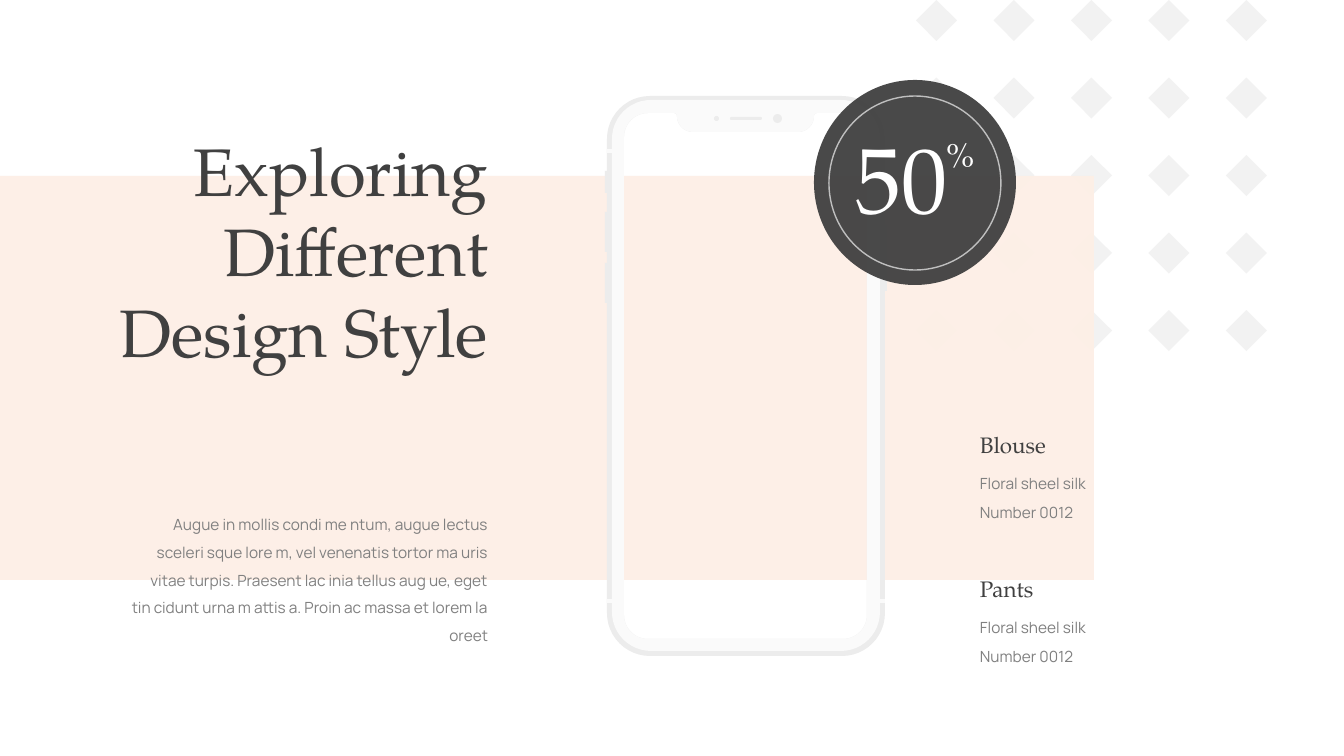
from dataclasses import dataclass
from math import cos, radians, sin

from lxml import etree
from pptx import Presentation
from pptx import util as u
from pptx.dml.color import RGBColor
from pptx.enum import shapes, text
from pptx.oxml import ns


@dataclass(frozen=True)
class Theme:
    serif: str = "TeX Gyre Pagella"
    sans: str = "Manrope"
    dark: str = "404040"
    grey: str = "808080"
    white: str = "FFFFFF"
    ring: str = "BFBFBF"
    blush: str = "FDEFE6"
    diamond: str = "F2F2F2"
    frame: str = "ECECEC"
    bezel: str = "FAFAFA"
    title_size: int = 48
    body_size: int = 11
    item_size: int = 16
    number_size: int = 66
    percent_size: int = 24
    opacity: int = 95


THEME = Theme()
SLIDE_SIZE = (1344, 756)
EMU_PER_PX = 914400 / 100.8

TITLE = "Exploring Different Design Style"
BODY = (
    "Augue in mollis condi me ntum, augue lectus sceleri sque lore m, "
    "vel venenatis tortor ma uris vitae turpis. Praesent lac inia tellus aug ue, "
    "eget tin cidunt urna m attis a. Proin ac massa et lorem la oreet"
)
ITEMS = [
    ("Blouse", "Floral sheel silk", "Number 0012"),
    ("Pants", "Floral sheel silk", "Number 0012"),
]
ITEM_LEFT, ITEM_TOP, ITEM_PITCH = 970, 413, 144
ITEM_ROWS = [
    (0, 50, THEME.serif, THEME.item_size, THEME.dark),
    (47, 38, THEME.sans, THEME.body_size, THEME.grey),
    (76, 38, THEME.sans, THEME.body_size, THEME.grey),
]

DIAMOND_LEFT, DIAMOND_SIZE, DIAMOND_SPAN, DIAMOND_COUNT = 916, 41, 310, 5

BODY_CORNERS = [
    (650, 139, 43, 180, 270),
    (842, 139, 43, 270, 360),
    (842, 613, 43, 0, 90),
    (650, 613, 43, 90, 180),
]
BEZEL_CORNERS = [
    (651, 139, 39, 180, 270),
    (841, 139, 39, 270, 360),
    (841, 612, 39, 0, 90),
    (651, 612, 39, 90, 180),
]
SCREEN_CORNERS = [
    (648, 137, 24, 180, 270),
    (674, 116, 3, 270, 360),
    (693, 116, 16, 180, 90),
    (798, 116, 16, 90, 0),
    (817, 116, 3, 180, 270),
    (843, 137, 24, 270, 360),
    (843, 615, 24, 0, 90),
    (648, 615, 24, 90, 180),
]
BUTTONS = [
    (605, 171, 2, 22),
    (605, 212, 2, 40),
    (605, 263, 2, 40),
    (885, 225, 2, 66),
]
BANDS = [(left, top, 5, 4) for top in (149, 599) for left in (607, 880)]
SENSORS = [
    ("OVAL", (714, 116, 5, 5)),
    ("ROUNDED_RECTANGLE", (730, 117, 32, 3)),
    ("OVAL", (773, 114, 9, 9)),
]


def px(value):
    return u.Emu(round(value * EMU_PER_PX))


def paint(shape, fill, opacity=100):
    shape.shadow.inherit = False
    shape.line.fill.background()
    shape.fill.solid()
    shape.fill.fore_color.rgb = RGBColor.from_string(fill)
    if opacity < 100:
        color = shape.fill._xPr.find(".//" + ns.qn("a:srgbClr"))
        etree.SubElement(color, ns.qn("a:alpha"), val=str(opacity * 1000))


def add_preset(parent, kind, frame, fill, opacity=100):
    shape = parent.add_shape(shapes.MSO_SHAPE[kind], *map(px, frame))
    paint(shape, fill, opacity)
    return shape


def trace(corners, steps=12):
    points = []
    for x, y, radius, start, end in corners:
        for step in range(steps + 1):
            angle = radians(start + (end - start) * step / steps)
            points.append((px(x + radius * cos(angle)), px(y + radius * sin(angle))))
    return points


def add_outline(parent, outlines, fill):
    contours = [trace(corners) for corners in outlines]
    builder = parent.build_freeform(*contours[0][0])
    builder.add_line_segments(contours[0][1:], close=True)
    for contour in contours[1:]:
        builder.move_to(*contour[0])
        builder.add_line_segments(contour[1:], close=True)
    paint(builder.convert_to_shape(), fill)


def add_text(parent, frame, words, font, size, color, align="LEFT", spacing=None):
    box = parent.add_textbox(*map(px, frame))
    box.text_frame.word_wrap = True
    para = box.text_frame.paragraphs[0]
    para.text = words
    para.alignment = text.PP_ALIGN[align]
    if spacing:
        para.line_spacing = spacing
    para.font.name = font
    para.font.size = u.Pt(size)
    para.font.color.rgb = RGBColor.from_string(color)


def add_pattern(page):
    pattern = page.shapes.add_group_shape().shapes
    offsets = [DIAMOND_SPAN * i / (DIAMOND_COUNT - 1) for i in range(DIAMOND_COUNT)]
    for top in offsets:
        for left in offsets:
            frame = (DIAMOND_LEFT + left, top, DIAMOND_SIZE, DIAMOND_SIZE)
            add_preset(pattern, "DIAMOND", frame, THEME.diamond)


def add_items(page):
    for index, item in enumerate(ITEMS):
        top = ITEM_TOP + index * ITEM_PITCH
        for words, (offset, height, font, size, color) in zip(item, ITEM_ROWS):
            frame = (ITEM_LEFT, top + offset, 176, height)
            add_text(page.shapes, frame, words, font, size, color, spacing=1.5)


def add_phone(page):
    phone = page.shapes.add_group_shape().shapes
    for frame in BUTTONS:
        add_preset(phone, "RECTANGLE", frame, THEME.frame)
    add_outline(phone, [BODY_CORNERS, SCREEN_CORNERS], THEME.frame)
    add_outline(phone, [BEZEL_CORNERS, SCREEN_CORNERS], THEME.bezel)
    for kind, frame in SENSORS:
        sensor = add_preset(phone, kind, frame, THEME.frame)
        if kind == "ROUNDED_RECTANGLE":
            sensor.adjustments[0] = 0.5
    for frame in BANDS:
        add_preset(phone, "RECTANGLE", frame, THEME.bezel)


def add_badge(page):
    badge = page.shapes.add_group_shape().shapes
    add_preset(badge, "OVAL", (814, 80, 202, 205), THEME.dark, THEME.opacity)
    add_text(badge, (806, 116, 191, 122), "50", THEME.serif,
             THEME.number_size, THEME.white, "CENTER")
    add_text(badge, (908, 129, 106, 50), "%", THEME.serif,
             THEME.percent_size, THEME.white, "CENTER")
    ring = add_preset(badge, "OVAL", (829, 96, 172, 174), THEME.white)
    ring.fill.background()
    ring.line.color.rgb = RGBColor.from_string(THEME.ring)
    ring.line.width = u.Pt(1)


def main():
    deck = Presentation()
    deck.slide_width, deck.slide_height = map(px, SLIDE_SIZE)
    page = deck.slides.add_slide(deck.slide_layouts[6])
    add_pattern(page)
    add_preset(page.shapes, "RECTANGLE", (0, 176, 1094, 404), THEME.blush, THEME.opacity)
    add_text(page.shapes, (18, 124, 480, 254), TITLE, THEME.serif,
             THEME.title_size, THEME.dark, "RIGHT")
    add_text(page.shapes, (120, 501, 378, 150), BODY, THEME.sans,
             THEME.body_size, THEME.grey, "RIGHT", 1.5)
    add_items(page)
    add_phone(page)
    add_badge(page)
    deck.save("out.pptx")


if __name__ == "__main__":
    main()
